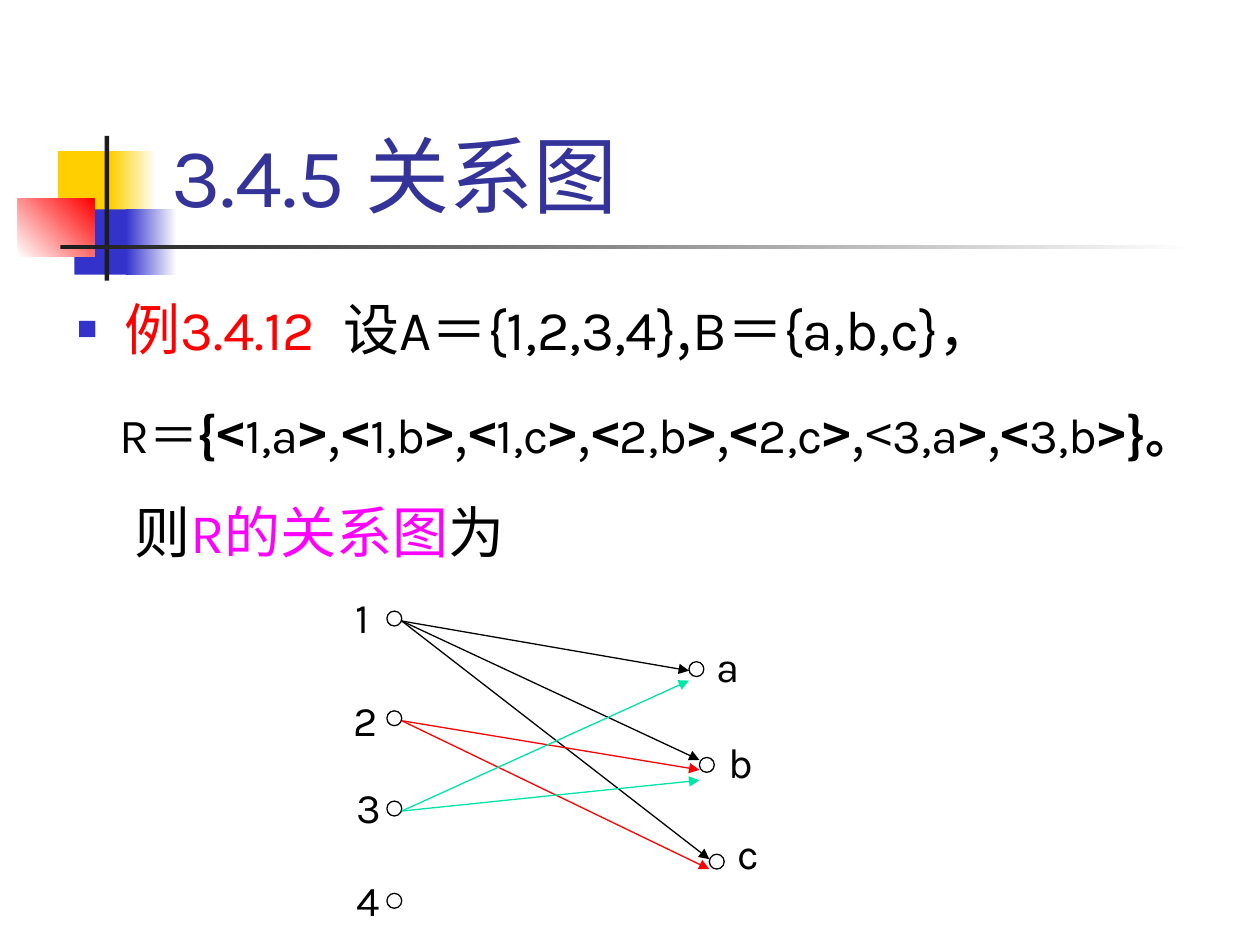
import pptx
import pptx.dml.color
import pptx.enum.shapes
import pptx.enum.text
import pptx.oxml.ns
import pptx.util
from lxml import etree

Cm = pptx.util.Cm
Pt = pptx.util.Pt
LATIN, HAN = "Karla", "Noto Sans CJK SC"
COLORS = {
    "yellow": "FFCF01", "blue": "3333CC", "red": "FF0000", "dark": "1C1C1C",
    "white": "FFFFFF", "title": "333399", "black": "000000",
    "magenta": "FF00FF", "green": "00E4A8",
}


def rgb(name):
    return pptx.dml.color.RGBColor.from_string(COLORS[name])


def add_xml(parent, tag, **attributes):
    element = etree.SubElement(parent, pptx.oxml.ns.qn(tag))
    for key, value in attributes.items():
        element.set(key, str(value))
    return element


def set_values(target, values):
    for key, value in values.items():
        setattr(target, key, value)


def add_span(para, text, color="black", size=32, font=LATIN, bold=False):
    span = para.add_run()
    span.text = text
    set_values(span.font, {"name": font, "size": Pt(size), "bold": bold})
    span.font.color.rgb = rgb(color)
    add_xml(span._r.get_or_add_rPr(), "a:ea", typeface=HAN)
    return span


def place(shape, box):
    lengths = [Cm(value) for value in box]
    set_values(shape, dict(zip(("left", "top", "width", "height"), lengths)))


def add_ornament(page, box):
    """Coloured squares crossed by two bars."""
    # left, top, width, height, first colour, last colour, angle
    parts = [
        (0.81, 0.31, 1.22, 1.32, "yellow", None, 0),
        (1.88, 0.31, 0.91, 1.32, "yellow", "white", 0),
        (1.14, 1.48, 1.17, 1.32, "blue", None, 0),
        (2.18, 1.48, 1.02, 1.32, "blue", "white", 0),
        (0, 1.27, 1.55, 1.17, "white", "red", 45),
        (1.75, 0, 0.09, 2.92, "dark", None, 0),
        (0.86, 2.19, 22.86, 0.1, "dark", "white", 0),
    ]
    for left, top, width, height, first, last, angle in parts:
        shape = page.shapes.add_shape(
            pptx.enum.shapes.MSO_SHAPE.RECTANGLE,
            Cm(box[0] + left), Cm(box[1] + top), Cm(width), Cm(height))
        shape.shadow.inherit = False
        shape.line.fill.background()
        if last is None:
            shape.fill.solid()
            shape.fill.fore_color.rgb = rgb(first)
            continue
        shape.fill.gradient()
        shape.fill.gradient_angle = angle
        for stop, color, position in zip(
                shape.fill.gradient_stops, (first, last), (0, 1)):
            stop.color.rgb = rgb(color)
            stop.position = position


def fill_title(page, box):
    title = page.shapes.title
    place(title, box)
    set_values(title.text_frame, {
        "vertical_anchor": pptx.enum.text.MSO_ANCHOR.BOTTOM,
        "auto_size": pptx.enum.text.MSO_AUTO_SIZE.NONE,
        "word_wrap": True,
    })
    para = title.text_frame.paragraphs[0]
    para.alignment = pptx.enum.text.PP_ALIGN.LEFT
    add_span(para, "3.4.5 关系图", "title", 48)


def format_para(para, left, indent, before):
    properties = para._p.get_or_add_pPr()
    properties.set("marL", str(Cm(left)))
    properties.set("indent", str(Cm(indent)))
    set_values(para, {"line_spacing": 1.5, "space_before": Pt(before)})
    return properties


def fill_body(page, box):
    body = page.placeholders[1]
    place(body, box)
    frame = body.text_frame
    frame.auto_size = pptx.enum.text.MSO_AUTO_SIZE.NONE

    # Example with its two sets
    para = frame.paragraphs[0]
    properties = format_para(para, 0.95, -0.95, 0)
    color = add_xml(properties, "a:buClr")
    add_xml(color, "a:srgbClr", val=COLORS["blue"])
    add_xml(properties, "a:buSzPct", val=60000)
    add_xml(properties, "a:buChar", char="■")
    add_span(para, "例3.4.12", "red")
    gap = add_span(para, " ", "red")
    gap._r.get_or_add_rPr().set("spc", "800")
    add_span(para, "设A＝{1,2,3,4}")
    add_span(para, ",", font=HAN)
    add_span(para, "B＝{a,b,c}，")

    # Relation as ordered pairs
    para = frame.add_paragraph()
    properties = format_para(para, 1.15, -0.3, 8)
    add_xml(properties, "a:buNone")
    add_span(para, "R＝", size=28)
    add_span(para, "{", size=28, font=HAN, bold=True)
    pairs = ["1,a", "1,b", "1,c", "2,b", "2,c", "3,a", "3,b"]
    for pair in pairs:
        if pair != pairs[0]:
            add_span(para, ",", size=28, font=HAN)
        add_span(para, "<", size=28, font=HAN, bold=pair != "3,a")
        add_span(para, pair, size=28)
        add_span(para, ">", size=28, font=HAN, bold=True)
    add_span(para, "}。", size=28, font=HAN, bold=True)
    add_span(para, "则")
    add_span(para, "R的关系图", "magenta")
    add_span(para, "为")


def add_graph(page, box):
    """Relation graph: nodes with labels, then arrows."""
    diameter = 0.3
    # node left and top, label left and top
    nodes = {
        "1": (0.92, 0.53, 0.03, 0), "2": (0.92, 2.54, 0, 2.08),
        "3": (0.92, 4.36, 0.05, 3.83), "4": (0.92, 6.22, 0.05, 5.71),
        "a": (7.01, 1.55, 7.32, 0.99), "b": (7.22, 3.48, 7.55, 2.94),
        "c": (7.42, 5.43, 7.73, 4.77),
    }
    for name, (left, top, label_left, label_top) in nodes.items():
        node = page.shapes.add_shape(
            pptx.enum.shapes.MSO_SHAPE.OVAL, Cm(box[0] + left),
            Cm(box[1] + top), Cm(diameter), Cm(diameter))
        node.shadow.inherit = False
        node.fill.background()
        node.line.color.rgb = rgb("black")
        node.line.width = Pt(0.75)
        label = page.shapes.add_textbox(
            Cm(box[0] + label_left), Cm(box[1] + label_top), Cm(1), Cm(1.27))
        label.text_frame.word_wrap = False
        add_span(label.text_frame.paragraphs[0], name, size=24)

    # start node, end node, drop of the arrow tip below the end node's top
    edges = [
        ("1", "a", 0.18), ("1", "b", 0.05), ("1", "c", 0.1),
        ("2", "b", 0.25), ("2", "c", 0.3),
        ("3", "a", 0.38), ("3", "b", 0.46),
    ]
    edge_colors = {"1": "black", "2": "red", "3": "green"}
    for start, end, drop in edges:
        arrow = page.shapes.add_connector(
            pptx.enum.shapes.MSO_CONNECTOR.STRAIGHT,
            Cm(box[0] + nodes[start][0] + diameter),
            Cm(box[1] + nodes[start][1] + 0.2),
            Cm(box[0] + nodes[end][0]), Cm(box[1] + nodes[end][1] + drop))
        arrow.line.color.rgb = rgb(edge_colors[start])
        arrow.line.width = Pt(0.75)
        add_xml(arrow.line._get_or_add_ln(), "a:tailEnd", type="triangle")
        add_xml(arrow._element.spPr, "a:effectLst")


def main():
    deck = pptx.Presentation()
    deck.slide_width, deck.slide_height = Cm(25.4), Cm(19.05)
    page = deck.slides.add_slide(deck.slide_layouts[1])
    add_ornament(page, (0.36, 2.74))
    fill_title(page, (3.2, 0.58, 21.64, 4.06))
    fill_body(page, (1.3, 5.13, 24.1, 13.92))
    add_graph(page, (6.88, 11.79))
    deck.save("out.pptx")


if __name__ == "__main__":
    main()
